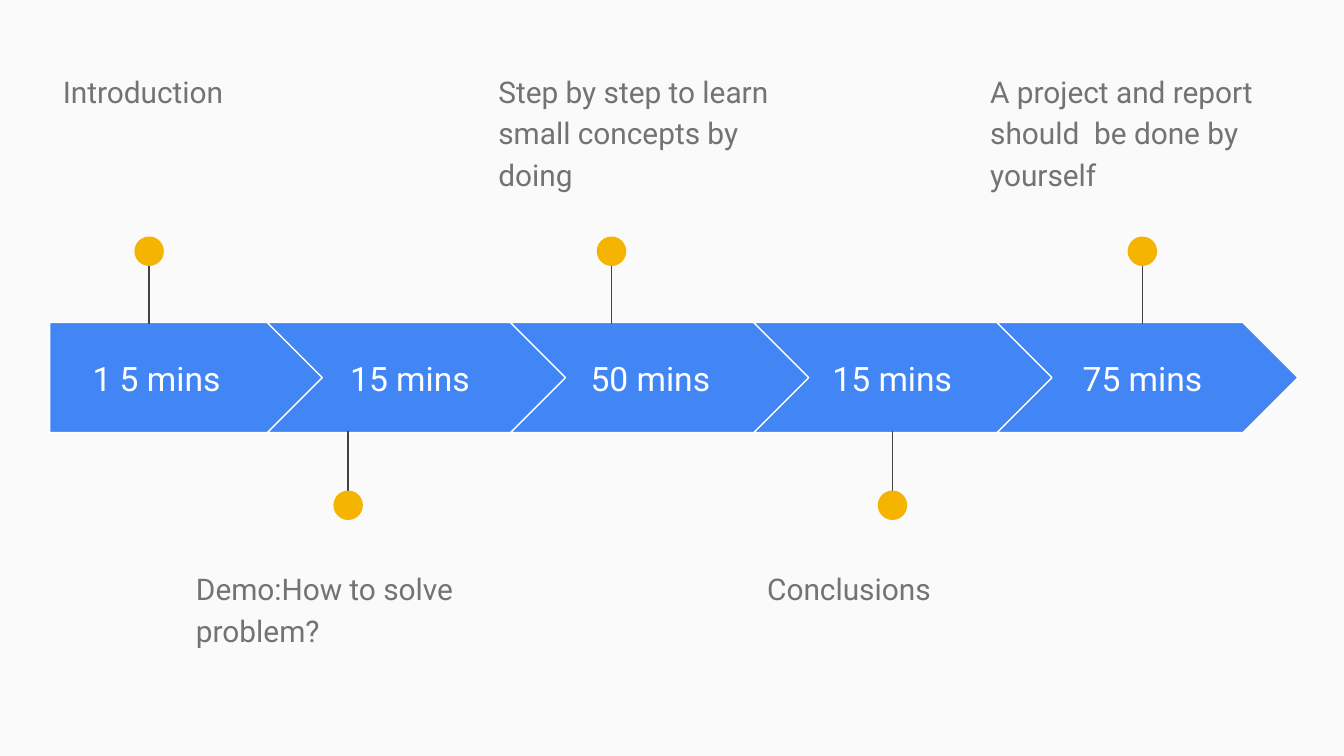
from dataclasses import dataclass

from lxml import etree
from pptx import Presentation
from pptx.dml.color import RGBColor
from pptx.enum import shapes, text
from pptx.oxml import ns
from pptx.util import Pt


@dataclass(frozen=True)
class Theme:
    """Colours, font and type sizes of the slide."""
    background: str = "FAFAFA"
    arrow: str = "4285F4"
    outline: str = "FFFFFF"
    stem: str = "424242"
    dot: str = "F4B400"
    duration: str = "FFFFFF"
    note: str = "737373"
    font: str = "Roboto"
    duration_size: float = 18
    note_size: float = 16
    line_width: float = 0.75


THEME = Theme()

ARROW_TOP, ARROW_HEIGHT = 172.8, 59
FIRST_LEFT, FIRST_WIDTH = 26.6, 147.6
CHEVRON_LEFT, CHEVRON_WIDTH, CHEVRON_STEP = 143.2, 161.3, 130.3
DURATION_TOP, DURATION_HEIGHT = 184.3, 36.7
NOTE_WIDTH, NOTE_HEIGHT = 176.4, 71.3
DOT_SIZE = 15.8
ABOVE = {"stem": (129.6, 173.5), "dot": 126.7, "note": 29.5}
BELOW = {"stem": (275, 231.1), "dot": 262.8, "note": 295.9}

STAGES = [
    ("1 5 mins", 26.6, 114.5, 79.9, 26.6, "Introduction"),
    ("15 mins", 167.8, 103.7, 186.5, 97.9, "Demo:How to solve problem?"),
    ("50 mins", 296.6, 103.7, 327.6, 259.9,
     "Step by step to learn small concepts by doing"),
    ("15 mins", 426.2, 103.7, 478.1, 403.9, "Conclusions"),
    ("75 mins", 560.2, 103.7, 612, 523.4,
     "A project and report should  be done by yourself"),
]


def color(value):
    """Turn a hex string into a colour."""
    return RGBColor.from_string(value)


def points(*lengths):
    """Convert lengths in points."""
    return [Pt(length) for length in lengths]


def add_text(slide, wording, box, *, size, ink, align=text.PP_ALIGN.LEFT,
             anchor=text.MSO_ANCHOR.TOP, spacing=1.0, after=0):
    """Add a wrapped text box with one formatted paragraph."""
    frame = slide.shapes.add_textbox(*points(*box)).text_frame
    frame.word_wrap = True
    frame.vertical_anchor = anchor
    frame.margin_left = frame.margin_right = Pt(7.2)
    frame.margin_top = frame.margin_bottom = Pt(7.2)
    paragraph = frame.paragraphs[0]
    paragraph.alignment = align
    paragraph.line_spacing = spacing
    paragraph.space_after = Pt(after)
    run = paragraph.add_run()
    run.text = wording
    run.font.name = THEME.font
    run.font.size = Pt(size)
    run.font.color.rgb = color(ink)


def add_solid(parent, kind, box, fill, outline=None):
    """Add a flat filled shape with an optional outline."""
    solid = parent.shapes.add_shape(kind, *points(*box))
    solid.shadow.inherit = False
    solid.fill.solid()
    solid.fill.fore_color.rgb = color(fill)
    if outline:
        solid.line.color.rgb = color(outline)
        solid.line.width = Pt(THEME.line_width)
    else:
        solid.line.fill.background()
    return solid


def add_arrow(slide, index):
    """Add the timeline segment at the given position."""
    if index == 0:
        kind, left, width = shapes.MSO_SHAPE.PENTAGON, FIRST_LEFT, FIRST_WIDTH
    else:
        kind, width = shapes.MSO_SHAPE.CHEVRON, CHEVRON_WIDTH
        left = CHEVRON_LEFT + (index - 1) * CHEVRON_STEP
    arrow = add_solid(slide, kind, (left, ARROW_TOP, width, ARROW_HEIGHT),
                      THEME.arrow, THEME.outline)
    arrow.adjustments[0] = 0.5


def add_pin(slide, center, side):
    """Add a grouped stem and dot on one side of the timeline."""
    pin = slide.shapes.add_group_shape()
    start, end = side["stem"]
    stem = pin.shapes.add_connector(shapes.MSO_CONNECTOR.STRAIGHT,
                                    *points(center, start, center, end))
    stem.line.color.rgb = color(THEME.stem)
    stem.line.width = Pt(THEME.line_width)
    etree.SubElement(stem._element.spPr, ns.qn("a:effectLst"))
    add_solid(pin, shapes.MSO_SHAPE.OVAL,
              (center - DOT_SIZE / 2, side["dot"], DOT_SIZE, DOT_SIZE),
              THEME.dot)


def add_stage(slide, index, stage):
    """Add one stage with its segment, duration, pin and note."""
    duration, duration_left, duration_width, center, note_left, note = stage
    side = BELOW if index % 2 else ABOVE
    add_arrow(slide, index)
    add_text(slide, duration,
             (duration_left, DURATION_TOP, duration_width, DURATION_HEIGHT),
             size=THEME.duration_size, ink=THEME.duration,
             align=text.PP_ALIGN.CENTER, anchor=text.MSO_ANCHOR.MIDDLE)
    add_pin(slide, center, side)
    add_text(slide, note, (note_left, side["note"], NOTE_WIDTH, NOTE_HEIGHT),
             size=THEME.note_size, ink=THEME.note, spacing=1.15, after=16)


def main():
    """Build and save the timeline slide."""
    deck = Presentation()
    deck.slide_width, deck.slide_height = points(720, 405)
    slide = deck.slides.add_slide(deck.slide_layouts[6])
    slide.background.fill.solid()
    slide.background.fill.fore_color.rgb = color(THEME.background)
    for index, stage in enumerate(STAGES):
        add_stage(slide, index, stage)
    deck.save("out.pptx")


if __name__ == "__main__":
    main()
